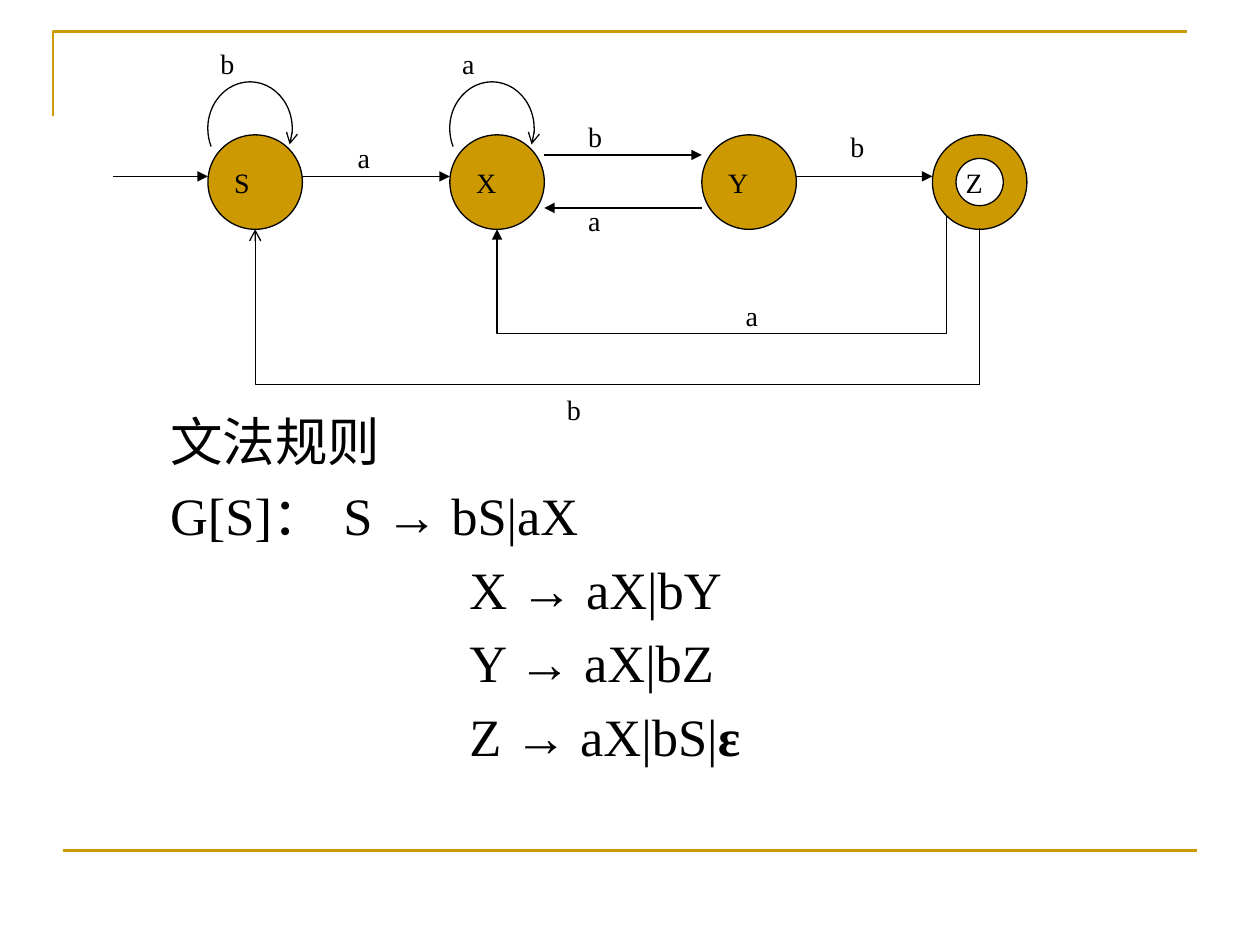
from pptx import Presentation
from pptx.dml.color import RGBColor
from pptx.enum import shapes, text
from pptx.oxml.ns import qn
from pptx.util import Inches, Pt
from lxml import etree

COLORS = {"gold": "CC9900", "ink": "000000"}
FONT = "Times New Roman"
SIZE = 0.75           # state diameter
STATE_TOP = 1.07
STATE_X = {"S": 1.65, "X": 3.57, "Y": 5.57, "Z": 7.4}


def rgb(name):
    return RGBColor.from_string(COLORS[name])


def set_font(font, size):
    font.name = FONT
    font.size = Pt(size)
    font.color.rgb = rgb("ink")


def set_line(sp, color="ink", width=0.75, head=None):
    sp.line.color.rgb = rgb(color)
    sp.line.width = Pt(width)
    if head:
        ln = sp.line._get_or_add_ln()
        etree.SubElement(ln, qn("a:tailEnd"), type=head)


def add_line(s, x1, y1, x2, y2, head=None, color="ink", width=0.75,
             kind=shapes.MSO_CONNECTOR.STRAIGHT):
    c = s.shapes.add_connector(kind, Inches(x1), Inches(y1), Inches(x2), Inches(y2))
    set_line(c, color, width, head)
    etree.SubElement(c._element.spPr, qn("a:effectLst"))
    return c


def add_return(s, x1, y1, x2, y2, bottom, head):
    """Elbow from (x1, y1) down to bottom, left, and up to (x2, y2)."""
    w, h = y2 - y1, x1 - x2          # box before the quarter turn
    left, top = (x1 + x2 - w) / 2, (y1 + y2 - h) / 2
    c = add_line(s, left, top, left + w, top + h, head,
                 kind=shapes.MSO_CONNECTOR.ELBOW)
    c._element.spPr.find(qn("a:xfrm")).set("rot", str(90 * 60000))
    guides = c._element.spPr.find(qn("a:prstGeom")).find(qn("a:avLst"))
    etree.SubElement(guides, qn("a:gd"), name="adj1",
                     fmla=f"val {round((bottom - y1) / w * 100000)}")


def add_state(s, name, label, kind=shapes.MSO_SHAPE.OVAL):
    sp = s.shapes.add_shape(kind, Inches(STATE_X[name]), Inches(STATE_TOP),
                            Inches(SIZE), Inches(SIZE))
    sp.shadow.inherit = False
    sp.fill.solid()
    sp.fill.fore_color.rgb = rgb("gold")
    set_line(sp)
    tf = sp.text_frame
    tf.word_wrap = False
    tf.vertical_anchor = text.MSO_ANCHOR.MIDDLE
    p = tf.paragraphs[0]
    p.text = label
    p.alignment = text.PP_ALIGN.LEFT
    set_font(p.font, 16)


def add_loop(s, name):
    sp = s.shapes.add_shape(shapes.MSO_SHAPE.ARC, Inches(STATE_X[name]),
                            Inches(0.65), Inches(0.67), Inches(0.74))
    sp.shadow.inherit = False
    sp.fill.background()
    set_line(sp, head="arrow")
    for i, degrees in enumerate((155, 22)):
        sp.adjustments[i] = degrees * 0.6     # 60000ths of a degree / 100000


def add_label(s, label, x, y, width=0.5):
    tf = s.shapes.add_textbox(Inches(x), Inches(y), Inches(width),
                              Inches(0.37)).text_frame
    tf.word_wrap = True
    p = tf.paragraphs[0]
    p.text = label
    set_font(p.font, 16)


def add_grammar(s):
    sp = s.placeholders[1]
    sp.left, sp.top, sp.width, sp.height = map(Inches, (1.25, 3.2, 7.34, 3.54))
    tf = sp.text_frame
    tf.auto_size = text.MSO_AUTO_SIZE.NONE
    rules = [("文法规则",), ("G[S]：\tS ", "→ ", "bS|aX"),
             ("\t\t\tX ", "→ ", "aX|bY"), ("\t\t\tY ", "→ ", "aX|bZ"),
             ("\t\t\tZ ", "→ ", "aX|bS|", "ε")]
    for i, parts in enumerate(rules):
        p = tf.paragraphs[0] if i == 0 else tf.add_paragraph()
        set_font(p.font, 30)
        pPr = p._p.get_or_add_pPr()
        pPr.set("defTabSz", str(Inches(1)))
        pPr.insert(0, etree.Element(qn("a:buNone")))
        for j, part in enumerate(parts):
            r = p.add_run()
            r.text = part
            r.font.bold = j % 2 == 1      # arrows and the empty word


def add_frame(s):
    fb = s.shapes.build_freeform(Inches(0.42), Inches(0.92))
    fb.add_line_segments([(Inches(0.42), Inches(0.25)),
                          (Inches(9.42), Inches(0.25))], close=False)
    sp = fb.convert_to_shape()
    sp.shadow.inherit = False
    sp.fill.background()
    set_line(sp, "gold", 1.5)
    add_line(s, 0.5, 6.75, 9.5, 6.75, color="gold", width=1.5)


def main():
    prs = Presentation()
    prs.slide_width, prs.slide_height = Inches(10), Inches(7.5)
    s = prs.slides.add_slide(prs.slide_layouts[1])
    title = s.shapes.title._element
    title.getparent().remove(title)

    add_frame(s)
    add_grammar(s)

    # States; the accepting one is a ring
    for name in "SXY":
        add_state(s, name, name)
    add_state(s, "Z", " Z", shapes.MSO_SHAPE.DONUT)

    # Transitions
    start, x, y, z = STATE_X.values()
    for x1, x2, level in [(0.9, start, 1.4), (start + SIZE, x, 1.4),
                          (x + SIZE, y, 1.23), (y, x + SIZE, 1.65),
                          (y + SIZE, z, 1.4)]:
        add_line(s, x1, level, x2, level, "triangle")
    add_loop(s, "S")
    add_loop(s, "X")
    base, mid = STATE_TOP + SIZE, SIZE / 2
    add_return(s, z + mid, base - 0.01, start + mid, base, 3.06 + 0.01, "arrow")
    add_return(s, z + 0.11, base - 0.11, x + mid, base, 2.65, "triangle")

    # Input symbols
    for label, lx, ly in [("b", start, 0.32), ("a", x, 0.32), ("a", 2.74, 1.07),
                          ("b", 4.57, 0.9), ("a", 4.57, 1.57), ("b", 6.65, 0.98),
                          ("b", 4.4, 3.07), ("a", 5.82, 2.32)]:
        add_label(s, label, lx, ly)

    prs.save("out.pptx")


if __name__ == "__main__":
    main()
